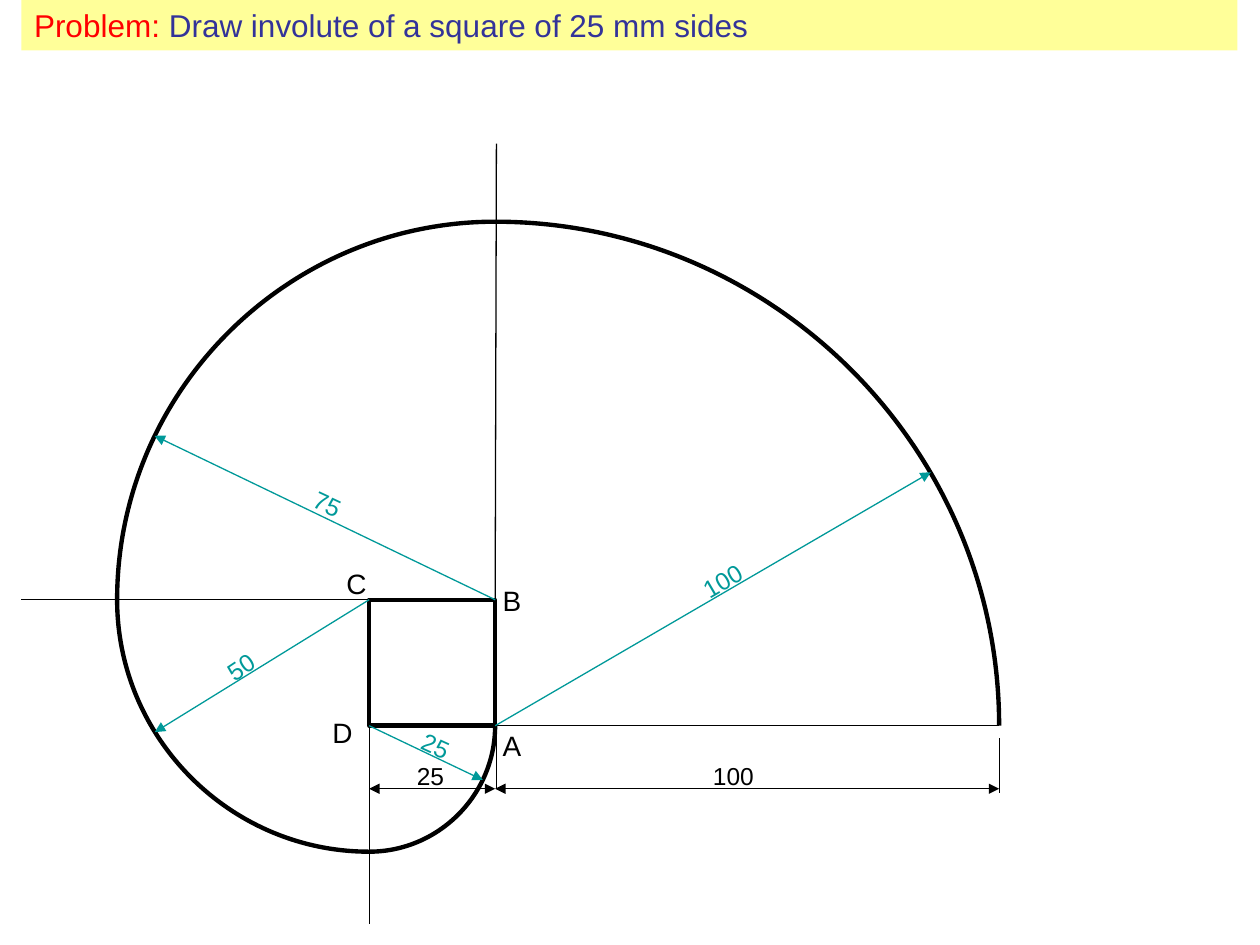
import math
from dataclasses import dataclass

from pptx import Presentation
from pptx import util as u
from pptx.dml.color import RGBColor
from pptx.enum import shapes, text
from pptx.oxml.ns import qn


@dataclass(frozen=True)
class Theme:
    font: str = "Arial"
    black: RGBColor = RGBColor(0x00, 0x00, 0x00)
    teal: RGBColor = RGBColor(0x00, 0x99, 0x99)
    red: RGBColor = RGBColor(0xFF, 0x00, 0x00)
    navy: RGBColor = RGBColor(0x33, 0x33, 0x99)
    band: RGBColor = RGBColor(0xFF, 0xFF, 0x99)
    title_size: int = 18
    corner_size: int = 16
    number_size: int = 14
    thin: float = 0.75
    thick: float = 2.5


THEME = Theme()

# Square geometry in inches: 25 mm is drawn as one inch
SIDE = 1
LEFT, TOP = 2.93, 4.76
RIGHT, BOTTOM = LEFT + SIDE, TOP + SIDE
A, B, C, D = (RIGHT, BOTTOM), (RIGHT, TOP), (LEFT, TOP), (LEFT, BOTTOM)
FAR = RIGHT + 4 * SIDE
DIM_Y = 6.26
QUARTER = 0.55  # Bezier handle length of a quarter circle, per radius


def polar(center, radius, degrees):
    """Point on a circle; angles run clockwise from the right."""
    angle = math.radians(degrees)
    return (center[0] + radius * math.cos(angle),
            center[1] + radius * math.sin(angle))


def style_run(r, size, color):
    r.font.name = THEME.font
    r.font.size = u.Pt(size)
    r.font.color.rgb = color


def style_line(shape, width, color):
    shape.line.color.rgb = color
    shape.line.width = u.Pt(width)


def style_outline(sp):
    sp.shadow.inherit = False
    sp.fill.background()
    style_line(sp, THEME.thick, THEME.black)


def add_title(s, parts):
    sp = s.shapes.title
    sp.left, sp.top = u.Inches(0.17), u.Inches(0)
    sp.width, sp.height = u.Inches(9.65), u.Inches(0.4)
    sp.fill.solid()
    sp.fill.fore_color.rgb = THEME.band
    tf = sp.text_frame
    tf.auto_size = text.MSO_AUTO_SIZE.NONE
    tf.vertical_anchor = text.MSO_ANCHOR.TOP
    p = tf.paragraphs[0]
    p.alignment = text.PP_ALIGN.LEFT
    for words, color in parts:
        r = p.add_run()
        r.text = words
        style_run(r, THEME.title_size, color)


def add_line(s, start, end, color=THEME.black, head=False, tail=False):
    points = [u.Inches(v) for v in (*start, *end)]
    line = s.shapes.add_connector(shapes.MSO_CONNECTOR.STRAIGHT, *points)
    style_line(line, THEME.thin, color)
    ln = line.line._get_or_add_ln()
    for tag, wanted in (("a:headEnd", head), ("a:tailEnd", tail)):
        if wanted:
            ln.append(ln.makeelement(qn(tag), {"type": "triangle"}))
    sp_pr = line._element.spPr
    sp_pr.append(sp_pr.makeelement(qn("a:effectLst"), {}))


def add_label(s, words, left, top, width, height, size,
              color=THEME.black, rotation=0):
    sp = s.shapes.add_textbox(u.Inches(left), u.Inches(top),
                              u.Inches(width), u.Inches(height))
    sp.rotation = rotation
    tf = sp.text_frame
    tf.word_wrap = True
    tf.text = words
    style_run(tf.paragraphs[0].runs[0], size, color)


def add_number(s, words, left, top, color=THEME.black, rotation=0):
    add_label(s, words, left, top, 0.69, 0.33, THEME.number_size,
              color, rotation)


def add_square(s):
    sp = s.shapes.add_shape(shapes.MSO_SHAPE.RECTANGLE, u.Inches(LEFT),
                            u.Inches(TOP), u.Inches(SIDE), u.Inches(SIDE))
    style_outline(sp)


def add_quarter_arc(s, center, radius, start_angle):
    start = polar(center, radius, start_angle)
    end = polar(center, radius, start_angle + 90)
    handle = QUARTER * radius
    curve = (polar(start, handle, start_angle + 90),
             polar(end, handle, start_angle), end)
    builder = s.shapes.build_freeform(*(u.Inches(v) for v in start))
    builder.add_line_segments([tuple(u.Inches(v) for v in end)], close=False)
    sp = builder.convert_to_shape()
    # Bend the straight segment into one cubic curve
    segment = next(sp._element.iter(qn("a:lnTo")))
    bezier = segment.makeelement(qn("a:cubicBezTo"), {})
    for x, y in curve:
        bezier.append(bezier.makeelement(qn("a:pt"), {
            "x": str(u.Inches(x) - sp.left), "y": str(u.Inches(y) - sp.top)}))
    segment.getparent().replace(segment, bezier)
    style_outline(sp)


def add_dimension(s, words, start_x, end_x, label_x):
    add_line(s, (start_x, DIM_Y), (end_x, DIM_Y), head=True, tail=True)
    add_number(s, words, label_x, 5.99)


def main():
    prs = Presentation()
    prs.slide_width, prs.slide_height = u.Inches(10), u.Inches(7.5)
    s = prs.slides.add_slide(prs.slide_layouts[5])
    add_title(s, [("Problem: ", THEME.red),
                  ("Draw involute of a square of 25 mm sides", THEME.navy)])

    # Square
    add_square(s)

    # Dimensions below the square
    for x, top, bottom in ((LEFT, 5.83, DIM_Y), (RIGHT + 0.01, 5.83, DIM_Y),
                           (FAR, 5.86, 6.29)):
        add_line(s, (x, top), (x, bottom))
    add_dimension(s, "25", LEFT, RIGHT, 3.21)
    add_dimension(s, "100", RIGHT, FAR, 5.56)

    # Extended sides
    for start, end in ((A, (FAR, BOTTOM)), (B, (RIGHT + 0.01, 1.14)),
                       (C, (0.17, TOP)), (D, (LEFT, 7.33))):
        add_line(s, start, end)

    # Involute: each quarter turn has a radius one side longer
    turns = (
        # center, radius arrow angle, label left, top, rotation
        (D, 25.5, 3.24, 5.81, 24.6),
        (C, 148.3, 1.68, 5.05, 326.5),
        (B, 205.7, 2.38, 3.89, 25.1),
        (A, 329.8, 5.46, 4.4, 329.4),
    )
    for i, (center, *_) in enumerate(turns):
        add_quarter_arc(s, center, (i + 1) * SIDE, 90 * i)
    for i, (center, angle, left, top, rotation) in enumerate(turns, 1):
        add_line(s, center, polar(center, i * SIDE, angle),
                 THEME.teal, tail=True)
        add_number(s, str(25 * i), left, top, THEME.teal, rotation)

    # Corner names
    for name, left, top in (("A", 3.89, 5.73), ("B", 3.89, 4.58),
                            ("C", 2.65, 4.45), ("D", 2.54, 5.63)):
        add_label(s, name, left, top, 0.42, 0.37, THEME.corner_size)

    prs.save("out.pptx")


if __name__ == "__main__":
    main()
